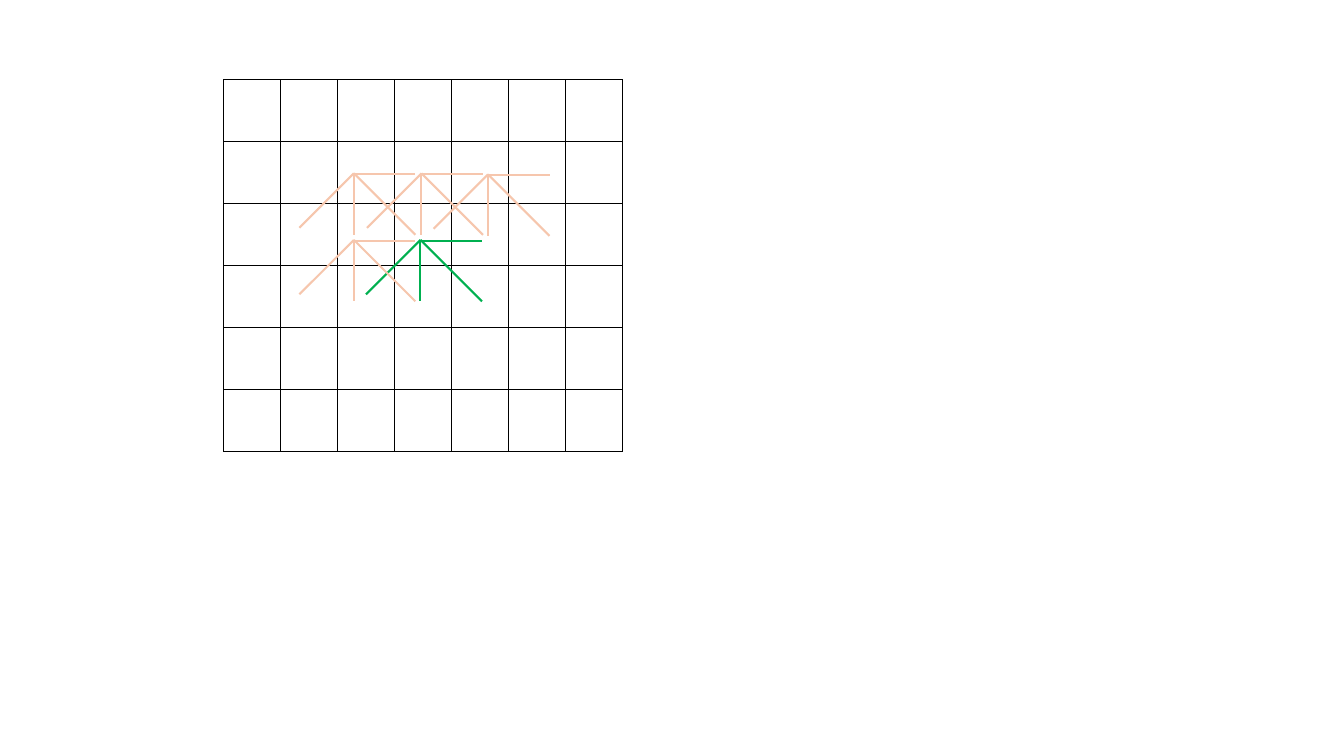
from lxml import etree
from pptx import Presentation
from pptx import util as u
from pptx.dml.color import RGBColor
from pptx.enum import shapes
from pptx.oxml import ns

BLACK = RGBColor(0x00, 0x00, 0x00)
GREEN = RGBColor(0x00, 0xB0, 0x50)
PEACH = RGBColor(0xF6, 0xC6, 0xAD)

ROWS, COLS = 6, 7
RAYS = [(0.61, 0.61, 0), (0, 0.61, 0), (0.61, 0, 0.01), (-0.54, 0.54, 0)]
FANS = [
    (4.17, 2.38, GREEN),
    (4.18, 1.72, PEACH),
    (3.51, 2.38, PEACH),
    (4.84, 1.73, PEACH),
    (3.51, 1.72, PEACH),
]


def add_borders(cell, color, width):
    props = cell._tc.get_or_add_tcPr()
    for i, side in enumerate(("a:lnL", "a:lnR", "a:lnT", "a:lnB")):
        line = etree.Element(ns.qn(side), w=str(u.Pt(width)))
        fill = etree.SubElement(line, ns.qn("a:solidFill"))
        etree.SubElement(fill, ns.qn("a:srgbClr"), val=str(color))
        props.insert(i, line)


def add_grid(slide, left, top, width, height):
    box = [u.Inches(n) for n in (left, top, width, height)]
    table = slide.shapes.add_table(ROWS, COLS, *box).table
    table.first_row = table.horz_banding = False
    for col in table.columns:
        col.width = u.Inches(width / COLS)
    for row in table.rows:
        row.height = u.Inches(height / ROWS)
    for cell in table.iter_cells():
        cell.fill.background()
        add_borders(cell, BLACK, 1)


def add_fan(slide, x, y, color):
    """Draw four grouped rays that leave the point x, y."""
    group = slide.shapes.add_group_shape()
    for dx, dy, drop in RAYS:
        start = y + drop
        ends = [u.Inches(n) for n in (x, start, x + dx, start + dy)]
        ray = group.shapes.add_connector(shapes.MSO_CONNECTOR.STRAIGHT, *ends)
        ray.line.color.rgb = color
        ray.line.width = u.Pt(1.5)
        etree.SubElement(ray._element.spPr, ns.qn("a:effectLst"))


def main():
    deck = Presentation()
    deck.slide_width, deck.slide_height = u.Inches(13.33), u.Inches(7.5)
    slide = deck.slides.add_slide(deck.slide_layouts[6])
    add_grid(slide, 2.22, 0.79, 3.96, 3.69)
    for x, y, color in FANS:
        add_fan(slide, x, y, color)
    deck.save("out.pptx")


if __name__ == "__main__":
    main()
